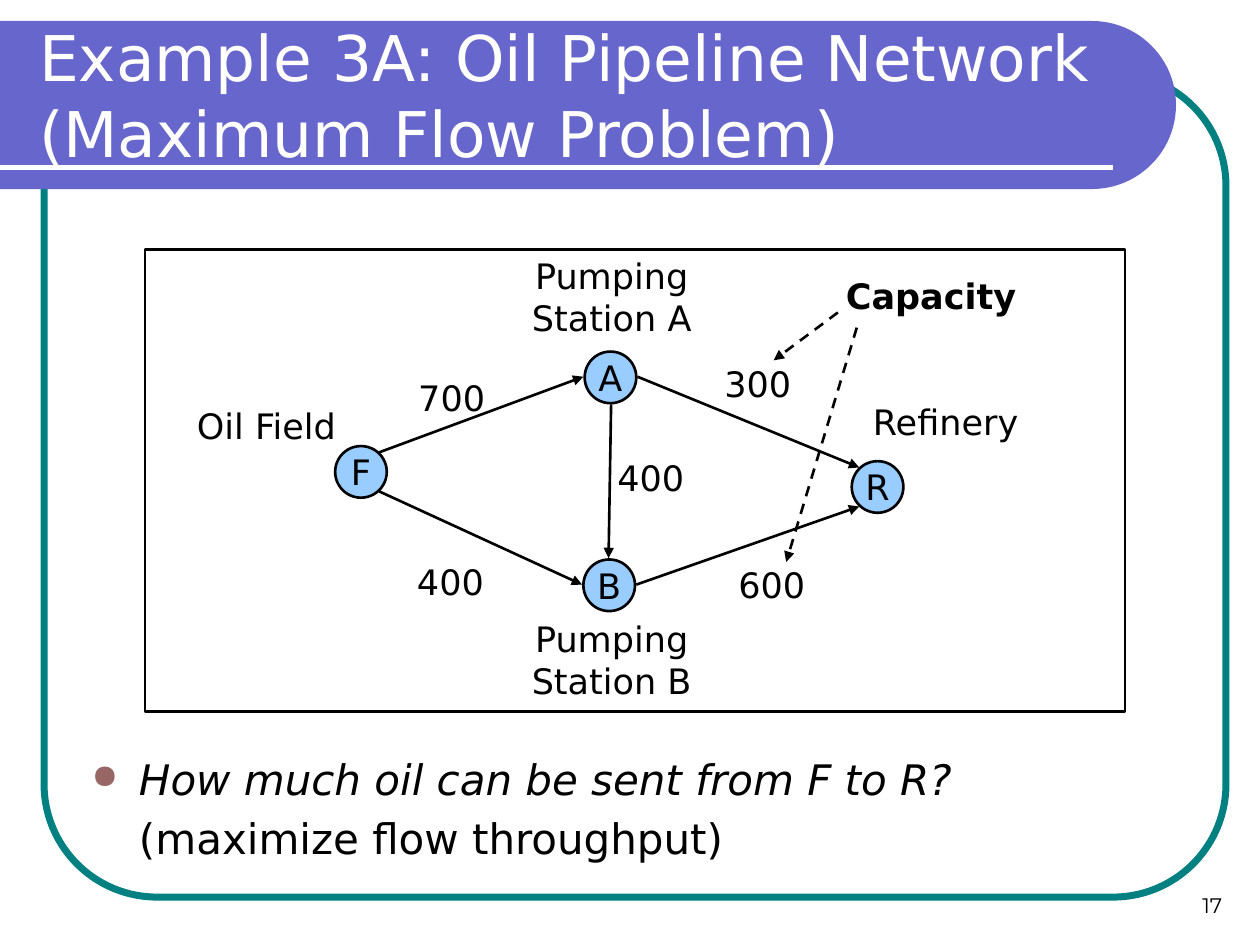
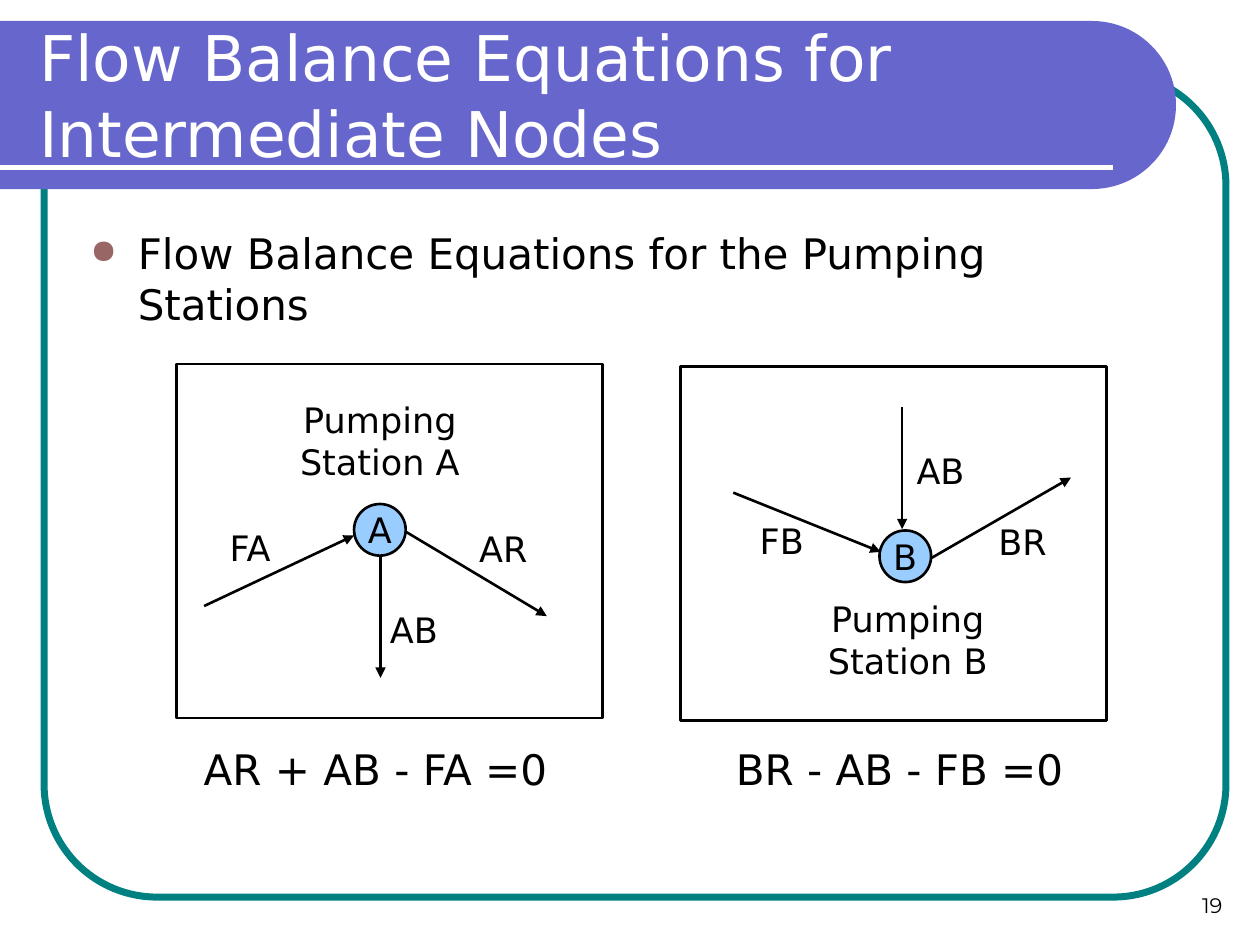
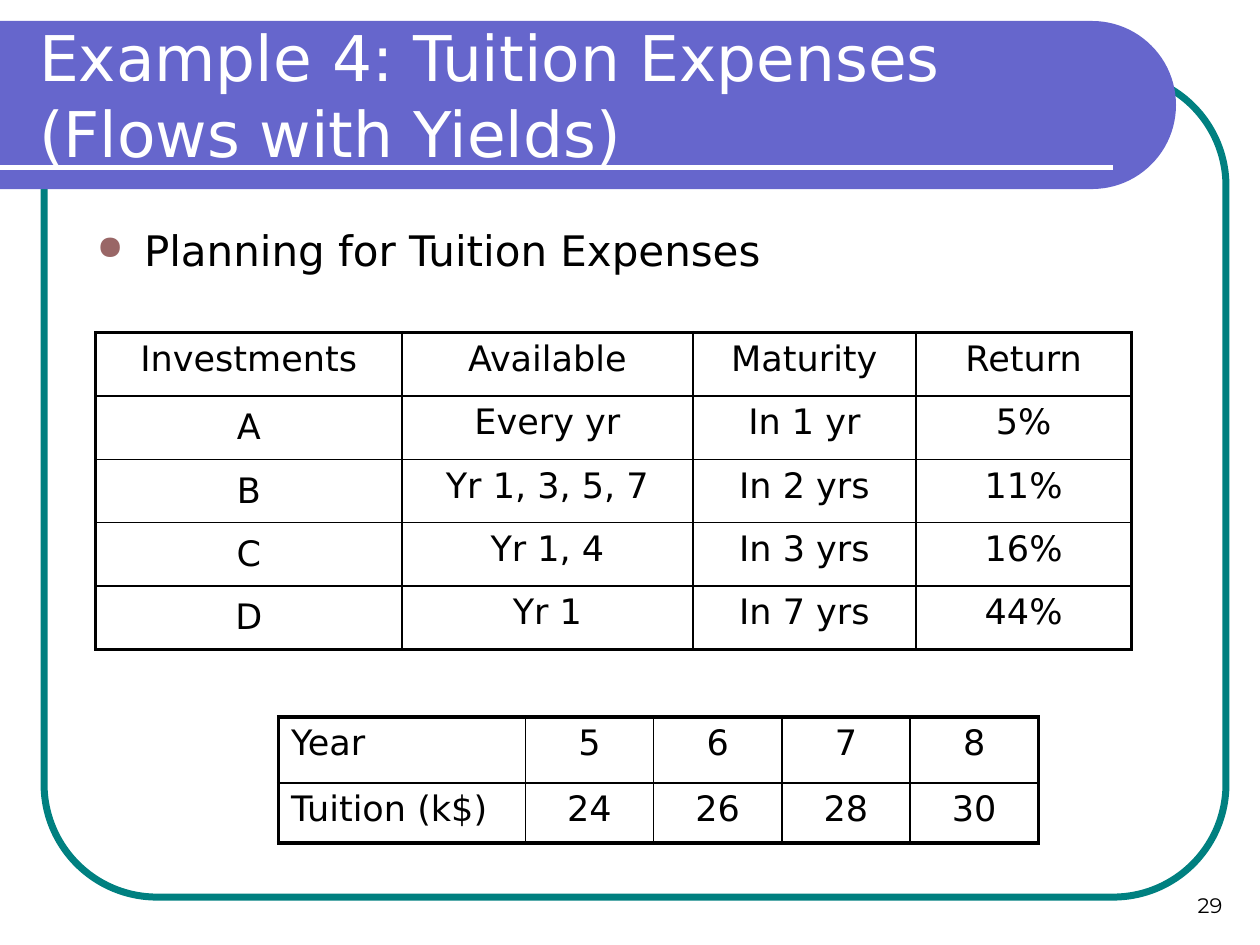
import math

import lxml.etree
import pptx
import pptx.dml.color
import pptx.enum.dml
import pptx.enum.shapes
import pptx.enum.text
import pptx.oxml.ns
import pptx.util

COLORS = {
    "ink": "000000",
    "paper": "FFFFFF",
    "band": "6666CC",
    "frame": "008080",
    "node": "99CCFF",
    "bullet": "996666",
}
COLUMNS, ROWS = 100, 75
NODE_SIZE = 4.1
TITLE_ONLY = 5
SHAPES = pptx.enum.shapes.MSO_SHAPE
ALIGN = pptx.enum.text.PP_ALIGN
ANCHOR = pptx.enum.text.MSO_ANCHOR


def rgb(name):
    return pptx.dml.color.RGBColor.from_string(COLORS[name])


def add_element(parent, tag, **attributes):
    return lxml.etree.SubElement(parent, pptx.oxml.ns.qn(tag), **attributes)


def write(paragraph, text, size=20, color="ink", font="DejaVu Sans",
          bold=False, italic=False, align=ALIGN.CENTER):
    paragraph.text = text
    paragraph.alignment = align
    for run in paragraph.runs:
        run.font.name = font
        run.font.size = pptx.util.Pt(size)
        run.font.bold = bold
        run.font.italic = italic
        run.font.color.rgb = rgb(color)


def set_border(cell, side, width):
    line = add_element(cell._tc.get_or_add_tcPr(), f"a:ln{side}",
                       w=str(pptx.util.Pt(width)))
    fill = add_element(line, "a:solidFill")
    add_element(fill, "a:srgbClr", val=COLORS["ink"])


class Deck:
    """Holds the style and the current slide; lengths are grid columns and rows."""

    def __init__(self):
        self.presentation = pptx.Presentation()
        self.presentation.slide_width = pptx.util.Inches(10)
        self.presentation.slide_height = pptx.util.Inches(7.5)
        self.slide = None

    def x(self, columns):
        return round(self.presentation.slide_width * columns / COLUMNS)

    def y(self, rows):
        return round(self.presentation.slide_height * rows / ROWS)

    def box(self, left, top, width, height):
        return self.x(left), self.y(top), self.x(width), self.y(height)

    def add_slide(self, title, number):
        layout = self.presentation.slide_layouts[TITLE_ONLY]
        self.slide = self.presentation.slides.add_slide(layout)
        self.shape(SHAPES.ROUNDED_RECTANGLE, 3.5, 5.8, 93.8, 65.4,
                   line="frame", line_width=4).adjustments[0] = 0.137
        self.band()
        self.line((0, 13.3), (88.3, 13.3), color="paper", width=3, arrow=False)
        self.title(title)
        self.label(str(number), 74.7, 68.3, 23.3, 5, anchor=ANCHOR.BOTTOM,
                   size=12, font="Montserrat", align=ALIGN.RIGHT)

    def band(self):
        """Draws the title band: flat on the left, a half circle on the right."""
        top, radius, center_x, steps = 1.67, 6.67, 86.67, 48
        angles = [math.pi * (step / steps - 0.5) for step in range(steps + 1)]
        arc = [(self.x(center_x + radius * math.cos(angle)),
                self.y(top + radius + radius * math.sin(angle))) for angle in angles]
        builder = self.slide.shapes.build_freeform(0, self.y(top), scale=1.0)
        builder.add_line_segments(arc + [(0, self.y(top + 2 * radius))], close=True)
        self.paint(builder.convert_to_shape(), fill="band", line=None)

    def title(self, text):
        shape = self.slide.shapes.title
        shape.element.getparent().append(shape.element)
        shape.left, shape.top, shape.width, shape.height = self.box(2.1, 2.5, 87.7, 10)
        frame = shape.text_frame
        frame.word_wrap = True
        frame.auto_size = pptx.enum.text.MSO_AUTO_SIZE.NONE
        frame.vertical_anchor = ANCHOR.MIDDLE
        write(frame.paragraphs[0], text, size=36, color="paper", align=ALIGN.LEFT)

    def paint(self, shape, fill=None, line="ink", line_width=1.5):
        shape.shadow.inherit = False
        if fill:
            shape.fill.solid()
            shape.fill.fore_color.rgb = rgb(fill)
        else:
            shape.fill.background()
        if line:
            shape.line.color.rgb = rgb(line)
            shape.line.width = pptx.util.Pt(line_width)
        else:
            shape.line.fill.background()

    def shape(self, kind, left, top, width, height, **style):
        shape = self.slide.shapes.add_shape(kind, *self.box(left, top, width, height))
        self.paint(shape, **style)
        return shape

    def panel(self, left, top, width, height):
        self.shape(SHAPES.RECTANGLE, left, top, width, height)

    def node(self, name, left, top):
        circle = self.shape(SHAPES.OVAL, left, top, NODE_SIZE, NODE_SIZE, fill="node")
        circle.text_frame.word_wrap = False
        circle.text_frame.vertical_anchor = ANCHOR.MIDDLE
        write(circle.text_frame.paragraphs[0], name)

    def text_frame(self, left, top, width, height, anchor=ANCHOR.TOP):
        shape = self.slide.shapes.add_textbox(*self.box(left, top, width, height))
        shape.text_frame.word_wrap = True
        shape.text_frame.vertical_anchor = anchor
        return shape.text_frame

    def label(self, text, left, top, width=8.1, height=4.3, anchor=ANCHOR.TOP, **style):
        frame = self.text_frame(left, top, width, height, anchor)
        write(frame.paragraphs[0], text, **style)

    def station(self, name, left, top):
        self.label(f"Pumping Station {name}", left, top, 21.5, 7.7)

    def bullet(self, text, left, top, height, follow_up=None, italic=False):
        """Writes a bulleted paragraph and, below it, an aligned unbulleted one."""
        frame = self.text_frame(left, top, 87, height)
        indent = self.x(3.75)
        paragraph = frame.paragraphs[0]
        properties = paragraph._p.get_or_add_pPr()
        properties.set("marL", str(indent))
        properties.set("indent", str(-indent))
        color = add_element(properties, "a:buClr")
        add_element(color, "a:srgbClr", val=COLORS["bullet"])
        add_element(properties, "a:buSzPct", val="80000")
        add_element(properties, "a:buChar", char="●")
        write(paragraph, text, size=24, italic=italic, align=ALIGN.LEFT)
        if follow_up:
            paragraph = frame.add_paragraph()
            paragraph._p.get_or_add_pPr().set("marL", str(indent))
            paragraph.space_before = pptx.util.Pt(4.8)
            write(paragraph, follow_up, size=24, align=ALIGN.LEFT)

    def line(self, start, end, color="ink", width=1.5, arrow=True, dashed=False):
        connector = self.slide.shapes.add_connector(
            pptx.enum.shapes.MSO_CONNECTOR.STRAIGHT,
            self.x(start[0]), self.y(start[1]), self.x(end[0]), self.y(end[1]))
        connector.line.color.rgb = rgb(color)
        connector.line.width = pptx.util.Pt(width)
        if dashed:
            connector.line.dash_style = pptx.enum.dml.MSO_LINE.DASH
        properties = connector.element.spPr
        if arrow:
            add_element(properties.find(pptx.oxml.ns.qn("a:ln")), "a:tailEnd",
                        type="triangle")
        add_element(properties, "a:effectLst")

    def table(self, rows, left, top, widths, heights, style_cell):
        """Draws a ruled table; style_cell(row, column) gives alignment and anchor."""
        table = self.slide.shapes.add_table(
            len(rows), len(widths),
            *self.box(left, top, sum(widths), sum(heights))).table
        table.first_row = table.horz_banding = False
        for column, width in zip(table.columns, widths):
            column.width = self.x(width)
        last_row, last_column = len(rows) - 1, len(widths) - 1
        for row_index, (values, height) in enumerate(zip(rows, heights)):
            table.rows[row_index].height = self.y(height)
            for column_index, value in enumerate(values):
                cell = table.cell(row_index, column_index)
                outer_sides = {"L": column_index == 0, "R": column_index == last_column,
                               "T": row_index == 0, "B": row_index == last_row}
                for side, is_outer in outer_sides.items():
                    set_border(cell, side, 2.25 if is_outer else 1)
                cell.fill.background()
                align, cell.vertical_anchor = style_cell(row_index, column_index)
                write(cell.text_frame.paragraphs[0], value, align=align)


def add_network_slide(deck):
    deck.add_slide("Example 3A: Oil Pipeline Network (Maximum Flow Problem)", 17)
    deck.panel(11.5, 19.8, 77.8, 36.7)
    for name, left, top in [("F", 26.6, 35.4), ("A", 46.4, 27.9),
                            ("B", 46.3, 44.4), ("R", 67.6, 36.6)]:
        deck.node(name, left, top)
    for start, end in [((30.1, 35.9), (46.3, 29.9)), ((30.1, 39), (46.2, 46.4)),
                       ((50.6, 29.9), (68.2, 37.1)), ((50.5, 46.4), (68.2, 40.2)),
                       ((48.5, 32.1), (48.3, 44.3))]:
        deck.line(start, end)
    deck.label("Oil Field", 14.2, 31.6, 13.9)
    deck.label("Refinery", 68.1, 31.3, 13.9)
    deck.station("A", 37.8, 19.7)
    deck.station("B", 37.8, 48.5)
    for capacity, left, top in [("700", 31.8, 29.4), ("400", 31.7, 44), ("400", 47.6, 35.7),
                                ("600", 57.2, 44.2), ("300", 56.1, 28.3)]:
        deck.label(capacity, left, top)
    deck.label("Capacity", 64.9, 21.3, 18, bold=True)
    deck.line((66.5, 24.8), (61.4, 28.6), dashed=True)
    deck.line((68, 26), (62.4, 44.6), dashed=True)
    deck.bullet("How much oil can be sent from F to R?", 6.3, 59.3, 10.4,
                follow_up="(maximize flow throughput)", italic=True)


def add_balance_slide(deck):
    deck.add_slide("Flow Balance Equations for Intermediate Nodes", 19)
    deck.bullet("Flow Balance Equations for the Pumping Stations", 6.2, 17.6, 10.1)
    deck.panel(14, 28.9, 33.8, 28.1)
    deck.panel(54, 29.1, 33.8, 28.1)
    deck.node("A", 28.1, 40)
    deck.node("B", 69.8, 42.1)
    deck.station("A", 19.4, 31.1)
    deck.station("B", 61.3, 46.9)
    for flow, left, top, start, end in [
            ("FA", 15.8, 41.3, (16.2, 48.1), (28.1, 42.5)),
            ("AR", 35.9, 41.4, (32.2, 42.2), (43.4, 48.9)),
            ("AB", 28.8, 47.8, (30.2, 44.1), (30.2, 53.8)),
            ("FB", 58, 40.7, (58.2, 39.1), (69.9, 43.8)),
            ("BR", 77.1, 40.8, (73.9, 44.3), (85, 37.9)),
            ("AB", 70.6, 35.2, (71.6, 32.3), (71.6, 42))]:
        deck.label(flow, left, top)
        deck.line(start, end)
    for equation, left in [("AR + AB - FA =0", 14.3), ("BR - AB - FB =0", 55.9)]:
        deck.label(equation, left, 58.5, 31, 5, size=24)


def add_tuition_slide(deck):
    deck.add_slide("Example 4: Tuition Expenses \n(Flows with Yields)", 29)
    deck.bullet("Planning for Tuition Expenses", 6.7, 17.3, 9.7)
    investments = [
        ("Investments", "Available", "Maturity", "Return"),
        ("A", "Every yr", "In 1 yr", "5%"),
        ("B", "Yr 1, 3, 5, 7", "In 2 yrs", "11%"),
        ("C", "Yr 1, 4", "In 3 yrs", "16%"),
        ("D", "Yr 1", "In 7 yrs", "44%"),
    ]
    deck.table(investments, 7.6, 26.4, [24.3, 23.1, 17.7, 17.1], [5.03] * 5,
               lambda row, column: (ALIGN.CENTER, ANCHOR.MIDDLE if row and not column
                                    else ANCHOR.TOP))
    tuition = [("Year", "5", "6", "7", "8"), ("Tuition (k$)", "24", "26", "28", "30")]
    deck.table(tuition, 22.1, 56.9, [19.6] + [10.18] * 4, [5.25, 4.75],
               lambda row, column: (ALIGN.CENTER if column else ALIGN.LEFT, ANCHOR.TOP))


def main():
    deck = Deck()
    add_network_slide(deck)
    add_balance_slide(deck)
    add_tuition_slide(deck)
    deck.presentation.save("out.pptx")


if __name__ == "__main__":
    main()
